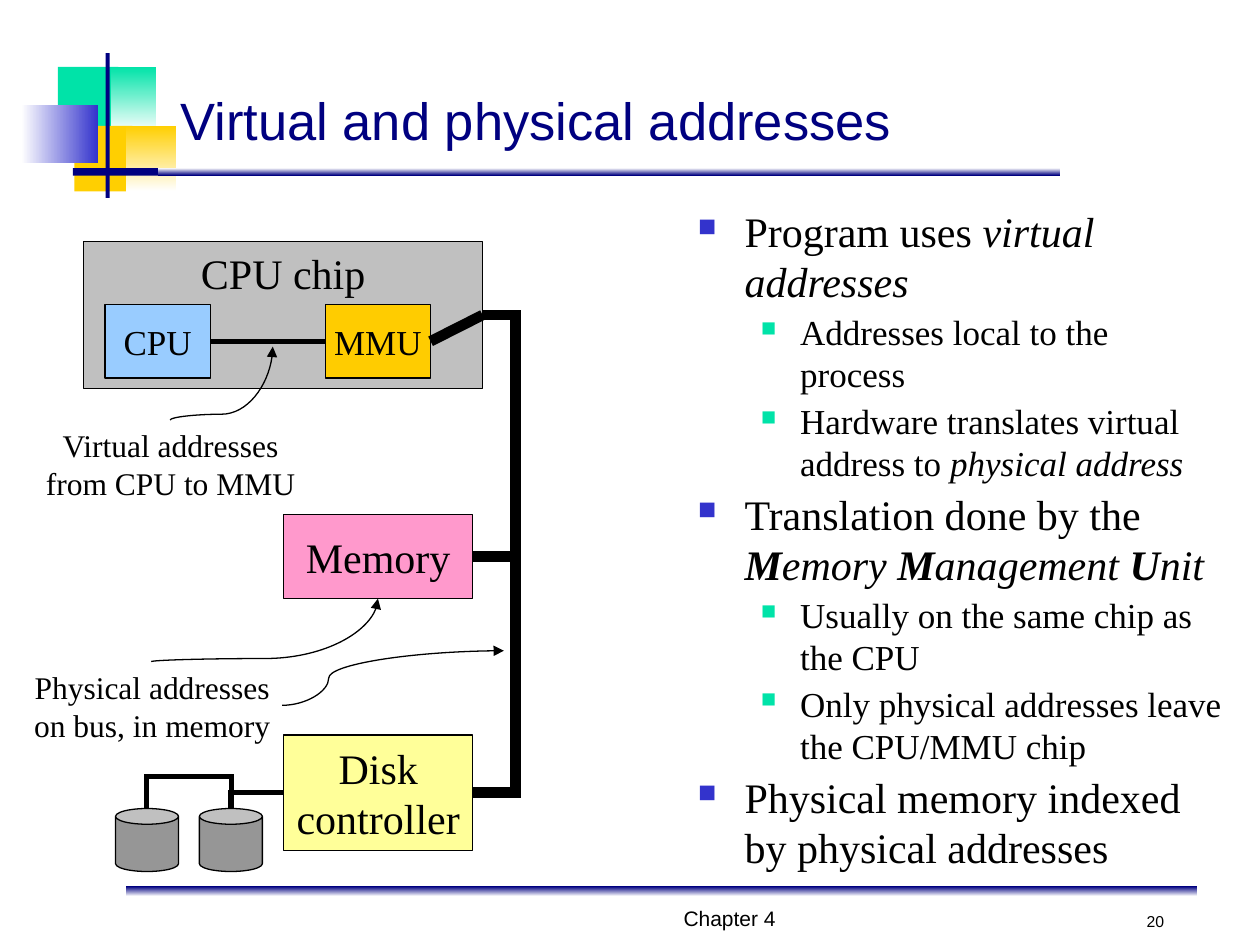
from lxml import etree
from pptx import Presentation
from pptx import util as u
from pptx.dml.color import RGBColor
from pptx.enum import shapes, text
from pptx.oxml.ns import qn

NAVY = RGBColor(0x00, 0x00, 0x80)
WHITE = RGBColor(0xFF, 0xFF, 0xFF)
BLACK = RGBColor(0x00, 0x00, 0x00)
GREEN = RGBColor(0x00, 0xE3, 0xA8)
GOLD = RGBColor(0xFF, 0xCF, 0x01)
INDIGO = RGBColor(0x33, 0x33, 0xCC)
CHIP_GREY = RGBColor(0xC0, 0xC0, 0xC0)
DISK_GREY = RGBColor(0x96, 0x96, 0x96)
CPU_BLUE = RGBColor(0x99, 0xCC, 0xFF)
MMU_GOLD = RGBColor(0xFF, 0xCC, 0x00)
MEMORY_PINK = RGBColor(0xFF, 0x99, 0xCC)
CONTROLLER_YELLOW = RGBColor(0xFF, 0xFF, 0x99)

SERIF, SANS = "Times New Roman", "Arial"
LEFT, CENTER, RIGHT = text.PP_ALIGN.LEFT, text.PP_ALIGN.CENTER, text.PP_ALIGN.RIGHT
TOP, MIDDLE, BOTTOM = text.MSO_ANCHOR.TOP, text.MSO_ANCHOR.MIDDLE, text.MSO_ANCHOR.BOTTOM
RECT, CAN = shapes.MSO_SHAPE.RECTANGLE, shapes.MSO_SHAPE.CAN
STRAIGHT = shapes.MSO_CONNECTOR.STRAIGHT
ELBOW = shapes.MSO_CONNECTOR.ELBOW
CURVE = shapes.MSO_CONNECTOR.CURVE
DOWN, ACROSS = 270, 0

# Each point: level, then (words, style letters) pieces
POINTS = [
    (0, [("Program uses ", ""), ("virtual addresses", "i")]),
    (1, [("Addresses local to the process", "")]),
    (1, [("Hardware translates virtual address to ", ""), ("physical address", "i")]),
    (0, [("Translation done by the ", ""), ("M", "bi"), ("emory ", "i"), ("M", "bi"),
         ("anagement ", "i"), ("U", "bi"), ("nit", "i")]),
    (1, [("Usually on the same chip as the CPU", "")]),
    (1, [("Only physical addresses leave the CPU/MMU chip", "")]),
    (0, [("Physical memory indexed by physical addresses", "")]),
]
LEVELS = [
    {"size": 24, "margin": 0.94, "hang": 0.94, "before": 3, "bullet": INDIGO},
    {"size": 20, "margin": 2.06, "hang": 0.79, "before": 2.5, "bullet": GREEN},
]


def cm(values):
    return [u.Cm(value) for value in values]


def style(font, **formats):
    font.color.rgb = formats.pop("color", BLACK)
    for name, value in formats.items():
        setattr(font, name, value)


def write(frame, words, size, face=SERIF, color=BLACK, align=CENTER, anchor=TOP, wrap=False):
    for name, value in {"word_wrap": wrap, "vertical_anchor": anchor}.items():
        setattr(frame, name, value)
    paragraph = frame.paragraphs[0]
    paragraph.text = words
    paragraph.alignment = align
    for run in paragraph.runs:
        style(run.font, size=u.Pt(size), name=face, color=color)


def add_block(slide, at, fill, preset=RECT, outlined=False):
    block = slide.shapes.add_shape(preset, *cm(at))
    block.shadow.inherit = False
    block.fill.solid()
    block.fill.fore_color.rgb = fill
    if outlined:
        block.line.color.rgb = BLACK
        block.line.width = u.Pt(0.75)
    else:
        block.line.fill.background()
    return block


def add_fade(slide, at, start, end, direction):
    fade = add_block(slide, at, start)
    fade.fill.gradient()
    fade.fill.gradient_angle = direction
    for stop, color, position in zip(fade.fill.gradient_stops, (start, end), (0, 1)):
        stop.color.rgb = color
        stop.position = position


def add_unit(slide, at, fill, words, size, anchor=MIDDLE):
    unit = add_block(slide, at, fill, outlined=True)
    write(unit.text_frame, words, size, anchor=anchor)
    return unit


def add_words(slide, at, words, size, **formats):
    write(slide.shapes.add_textbox(*cm(at)).text_frame, words, size, **formats)


def add_link(slide, kind, start, end, width, bends=(), turned=False, preset=None, arrow=False):
    """Connector from start to end; a turned one leaves vertically (quarter turn)."""
    (x1, y1), (x2, y2) = start, end
    if turned:
        mid_x, mid_y = (x1 + x2) / 2, (y1 + y2) / 2
        half_x, half_y = (y2 - y1) / 2, (x1 - x2) / 2
        x1, y1, x2, y2 = mid_x - half_x, mid_y - half_y, mid_x + half_x, mid_y + half_y
    link = slide.shapes.add_connector(kind, *cm((x1, y1, x2, y2)))
    link.line.color.rgb = BLACK
    link.line.width = u.Pt(width)
    properties = link._element.spPr
    if turned:
        properties.find(qn("a:xfrm")).set("rot", "5400000")
    geometry = properties.find(qn("a:prstGeom"))
    if preset:
        geometry.set("prst", preset)
    if bends:
        guides = geometry.find(qn("a:avLst"))
        if guides is None:
            guides = etree.SubElement(geometry, qn("a:avLst"))
        for number, bend in enumerate(bends, 1):
            etree.SubElement(guides, qn("a:gd"), name=f"adj{number}",
                             fmla=f"val {round(bend * 100000)}")
    outline = properties.find(qn("a:ln"))
    etree.SubElement(outline, qn("a:miter"), lim="800000")
    if arrow:
        etree.SubElement(outline, qn("a:tailEnd"), type="triangle")
    etree.SubElement(properties, qn("a:effectLst"))
    return link


def join(slide, first, second, width):
    """Straight line from a side of first to a side of second."""
    (from_unit, from_side), (to_unit, to_side) = first, second
    line = add_link(slide, STRAIGHT, (0, 0), (1, 1), width)
    line.begin_connect(from_unit, from_side)
    line.end_connect(to_unit, to_side)


def add_bullet(paragraph, level):
    properties = paragraph._p.get_or_add_pPr()
    properties.set("marL", str(u.Cm(level["margin"])))
    properties.set("indent", str(-u.Cm(level["hang"])))
    color = etree.SubElement(properties, qn("a:buClr"))
    etree.SubElement(color, qn("a:srgbClr"), val=str(level["bullet"]))
    etree.SubElement(properties, qn("a:buSzPct"), val="60000")
    etree.SubElement(properties, qn("a:buChar"), char="■")


def add_points(slide, at):
    frame = slide.shapes.add_textbox(*cm(at)).text_frame
    frame.word_wrap = True
    for index, (depth, pieces) in enumerate(POINTS):
        paragraph = frame.add_paragraph() if index else frame.paragraphs[0]
        level = LEVELS[depth]
        paragraph.level = depth
        paragraph.space_before = u.Pt(level["before"])
        add_bullet(paragraph, level)
        for words, marks in pieces:
            run = paragraph.add_run()
            run.text = words
            style(run.font, size=u.Pt(level["size"]), name=SERIF,
                  bold="b" in marks, italic="i" in marks)


def add_decoration(slide):
    add_fade(slide, (2.54, 17.87, 21.59, 0.2), NAVY, WHITE, DOWN)
    add_block(slide, (1.17, 1.35, 1.22, 1.32), GREEN)
    add_fade(slide, (2.24, 1.35, 0.91, 1.32), GREEN, WHITE, DOWN)
    add_block(slide, (1.5, 2.54, 1.17, 1.32), GOLD)
    add_fade(slide, (2.54, 2.54, 1.02, 1.32), GOLD, WHITE, DOWN)
    add_fade(slide, (0.43, 2.11, 1.55, 1.17), WHITE, INDIGO, ACROSS)
    add_block(slide, (2.13, 1.07, 0.08, 2.92), NAVY)
    add_block(slide, (1.47, 3.39, 1.9, 0.15), NAVY)
    add_fade(slide, (3.18, 3.39, 18.19, 0.15), WHITE, NAVY, DOWN)


def add_diagram(slide):
    # Bus and disk cabling, behind the units
    for target_y in (11.22, 15.98):
        add_link(slide, ELBOW, (9.73, 6.35), (9.53, target_y), 6, bends=[-3.3])
    controller_side = (5.72, 15.98)
    add_link(slide, ELBOW, (2.96, 16.3), controller_side, 3, bends=[2.03, 0.62],
             turned=True, preset="bentConnector4")
    add_link(slide, ELBOW, (4.66, 16.3), controller_side, 3,
             turned=True, preset="bentConnector2")

    # Units
    chip = add_unit(slide, (1.69, 4.87, 8.04, 2.96), CHIP_GREY, "CPU chip", 24, anchor=TOP)
    cpu = add_unit(slide, (2.12, 6.14, 2.12, 1.48), CPU_BLUE, "CPU", 20)
    mmu = add_unit(slide, (6.56, 6.14, 2.12, 1.48), MMU_GOLD, "MMU", 20)
    add_unit(slide, (5.72, 10.37, 3.81, 1.69), MEMORY_PINK, "Memory", 24)
    add_unit(slide, (5.72, 14.82, 3.81, 2.33), CONTROLLER_YELLOW, "Disk\ncontroller", 24)
    for disk_x in (2.33, 4.02):
        add_block(slide, (disk_x, 16.3, 1.27, 1.27), DISK_GREY, CAN, outlined=True)
    join(slide, (cpu, 3), (mmu, 1), 3)
    join(slide, (mmu, 3), (chip, 3), 6)

    # Captions, with a little spare width, and their pointers
    add_words(slide, (0.57, 8.47, 5.74, 1.78), "Virtual addresses\nfrom CPU to MMU", 18)
    add_words(slide, (0.32, 13.34, 5.5, 1.78), "Physical addresses\non bus, in memory", 18)
    for start, end, bend, turned in [((3.43, 8.47), (5.5, 6.99), 0.08, True),
                                     ((3.05, 13.34), (7.62, 12.07), 0.05, True),
                                     ((5.69, 14.22), (10.16, 13.12), 0.21, False)]:
        add_link(slide, CURVE, start, end, 0.75, bends=[bend], turned=turned, arrow=True)


def main():
    deck = Presentation()
    deck.slide_width, deck.slide_height = cm((25.4, 19.05))
    slide = deck.slides.add_slide(deck.slide_layouts[6])
    add_decoration(slide)
    add_words(slide, (3.39, 1.48, 21.59, 1.69), "Virtual and physical addresses", 30,
              face=SANS, color=NAVY, align=LEFT, anchor=BOTTOM, wrap=True)
    add_points(slide, (13.82, 4.02, 11.07, 13.76))
    add_diagram(slide)
    # Footer
    footer = {"face": SANS, "anchor": BOTTOM, "wrap": True}
    add_words(slide, (7.19, 18.2, 15.04, 0.69), "Chapter 4", 12, **footer)
    add_words(slide, (22.65, 18.2, 1.07, 0.69), "20", 9, align=RIGHT, **footer)
    deck.save("out.pptx")


if __name__ == "__main__":
    main()
